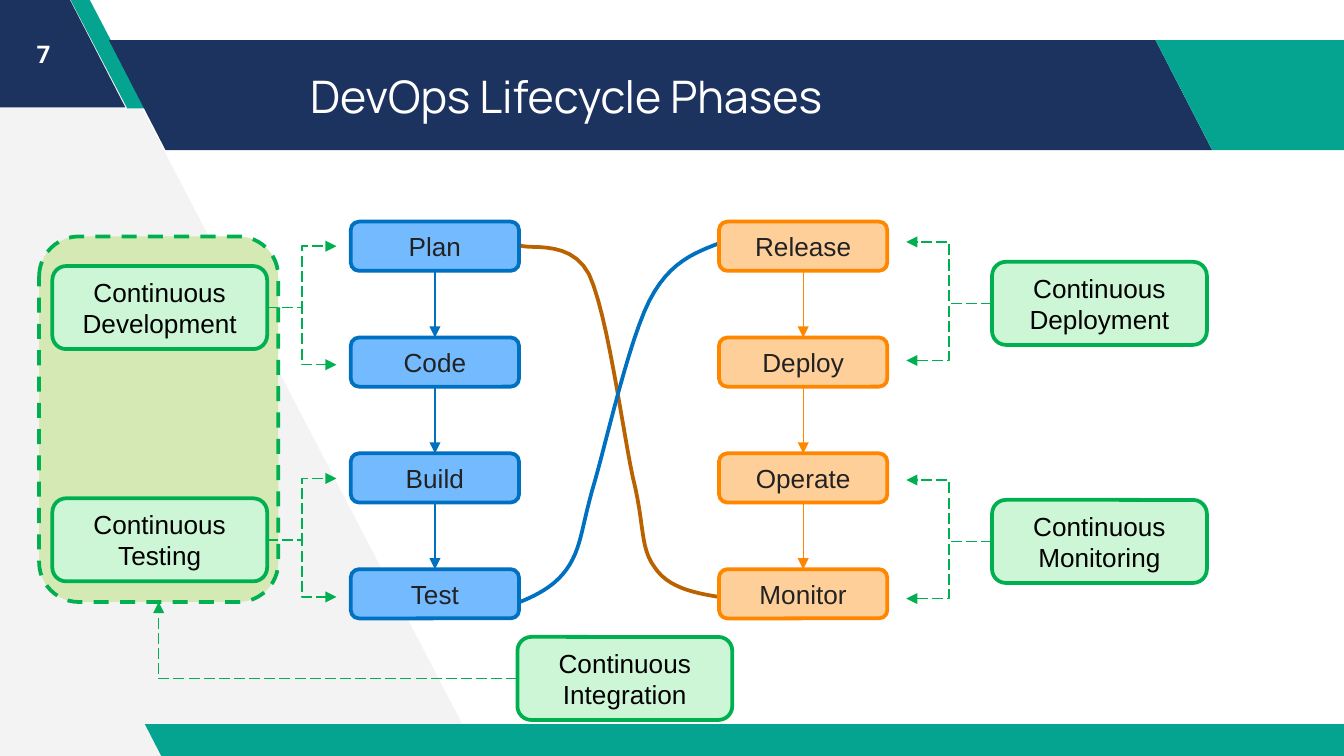
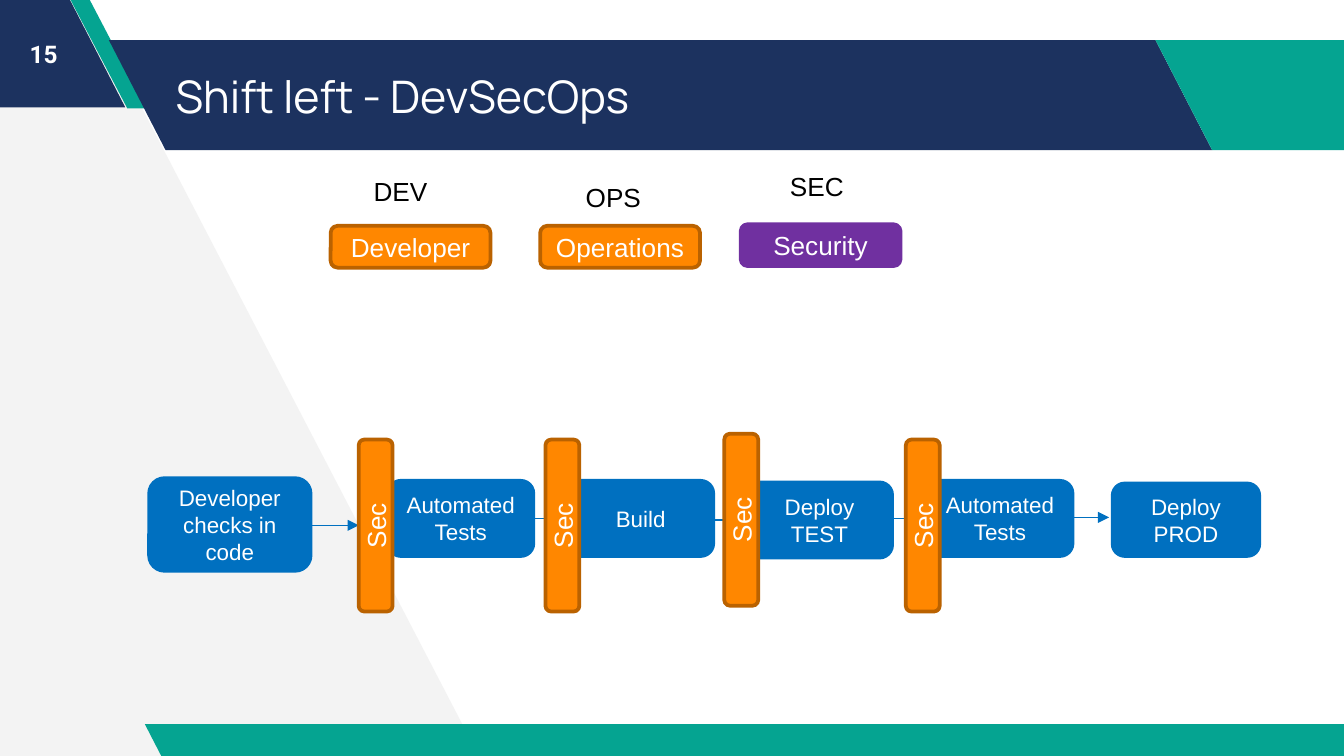
"""Build two DevOps slides: the lifecycle phases and the shift-left pipeline."""
import pptx
import pptx.util
import pptx.dml.color
import pptx.enum.dml
import pptx.enum.shapes
import pptx.enum.text
import pptx.oxml
import pptx.oxml.ns
from pptx.util import Cm

SHAPE = pptx.enum.shapes.MSO_SHAPE
CONNECTOR = pptx.enum.shapes.MSO_CONNECTOR
DASH = pptx.enum.dml.MSO_LINE
ALIGN = pptx.enum.text.PP_ALIGN
ANCHOR = pptx.enum.text.MSO_ANCHOR

COLORS = {
    "navy": "1C325F", "teal": "05A491", "pale": "F3F3F3", "white": "FFFFFF",
    "black": "000000", "ink": "222222", "green": "00B050", "mint": "CCF6D5",
    "lime": "D5E9B4", "blue": "0070C0", "sky": "74BAFE", "orange": "FF8700",
    "peach": "FECF99", "brown": "BA6200", "purple": "7030A0",
}

WEDGE = [(9.04, 14.27), (1.57, -0.1), (-0.15, -0.1), (-0.05, 14.38)]
BANDS = [
    ("navy", 0.515, (-2.51, -0.05, 4.88, 2.08)),
    ("teal", 0.75, (1.32, -0.03, 1.45, 2.08)),
    ("navy", 0.515, (2.06, 0.76, 20.85, 2.08)),
    ("teal", 0.515, (21.84, 0.76, 4.88, 2.08)),
    ("teal", 0.515, (2.74, 13.69, 23.24, 0.64)),
]

PHASE_COLUMNS = [
    (6.63, "sky", "blue", ["Plan", "Code", "Build", "Test"]),
    (13.59, "peach", "orange", ["Release", "Deploy", "Operate", "Monitor"]),
]
PHASE_TOP, PHASE_STEP, PHASE_W, PHASE_H = 4.19, 2.19, 3.18, 0.93
PRACTICES = [
    ("Continuous Development", 0.99, 5.03, "right"),
    ("Continuous Testing", 0.99, 9.42, "right"),
    ("Continuous Deployment", 18.75, 4.95, "left"),
    ("Continuous Monitoring", 18.75, 9.45, "left"),
    ("Continuous Integration", 9.78, 12.04, None),
]
PRACTICE_W, PRACTICE_H = 4.06, 1.57
FORK_REACH = {"right": 1.31, "left": -1.62}
FORK_RISES = (-1.16, 1.08)
PANEL = (0.74, 4.47, 4.52, 6.91)
CURVES = [
    ("brown", [(13.56, 11.28), (13.08, 11.2), (12.62, 11.1), (12.37, 10.72),
               (12.09, 10.34), (12.19, 9.93), (11.96, 9.02),
               (11.76, 8.08), (11.48, 5.92), (11.13, 5.18),
               (10.74, 4.45), (9.86, 4.78), (9.78, 4.6)]),
    ("blue", [(9.83, 11.38), (10.19, 11.23), (10.54, 11.05), (10.77, 10.67),
              (11, 10.29), (11, 9.91), (11.25, 9.07),
              (11.48, 8.26), (11.89, 6.45), (12.27, 5.69),
              (12.65, 4.95), (13.13, 4.78), (13.59, 4.6)]),
]

TEAMS = [
    ("DEV", (6.81, 3.18), "Developer", (6.25, 4.27), "orange", "brown"),
    ("OPS", (10.82, 3.3), "Operations", (10.21, 4.27), "orange", "brown"),
    ("SEC", (14.68, 3.1), "Security", (14, 4.24), "purple", "purple"),
]
STAGES = [
    ("Developer checks in code", (2.82, 9.04, 3.05, 1.75)),
    ("Automated Tests", (7.34, 9.09, 2.74, 1.42)),
    ("Build", (10.74, 9.09, 2.74, 1.42)),
    ("Deploy\nTEST", (14.12, 9.12, 2.74, 1.42)),
    ("Automated Tests", (17.53, 9.09, 2.74, 1.42)),
    ("Deploy\nPROD", (21.03, 9.14, 2.77, 1.37)),
]
STAGE_ARROWS = [(5.87, 6.78, 9.93), (10.08, 10.72, 9.8), (13.49, 14.15, 9.83),
                (16.87, 17.5, 9.8), (20.29, 20.96, 9.78)]
GATES = [(6.78, 8.31), (10.31, 8.31), (13.69, 8.2), (17.12, 8.31)]
GATE_W, GATE_H = 0.64, 3.25
SEC_W, SEC_H = 3.18, 0.58


def rgb(name):
    return pptx.dml.color.RGBColor.from_string(COLORS[name])


def write(sp, text, size=14, font="Arial", color="black", bold=False,
          align=ALIGN.CENTER, anchor=ANCHOR.MIDDLE, pad=0.13, indent=0):
    tf = sp.text_frame
    tf.word_wrap = True
    tf.auto_size = pptx.enum.text.MSO_AUTO_SIZE.NONE
    tf.vertical_anchor = anchor
    tf.margin_left = tf.margin_right = Cm(0.25)
    tf.margin_top = tf.margin_bottom = Cm(pad)
    tf.text = text
    for p in tf.paragraphs:
        p.alignment = align
        if indent:
            p._p.get_or_add_pPr().set("marL", str(Cm(indent)))
        for r in p.runs:
            r.font.size = pptx.util.Pt(size)
            r.font.name = font
            r.font.bold = bold
            r.font.color.rgb = rgb(color)


def paint(sp, fill=None, line=None, width=2, dash=None):
    sp.shadow.inherit = False
    if fill:
        sp.fill.solid()
        sp.fill.fore_color.rgb = rgb(fill)
    else:
        sp.fill.background()
    if line:
        sp.line.color.rgb = rgb(line)
        sp.line.width = pptx.util.Pt(width)
        if dash:
            sp.line.dash_style = dash
    else:
        sp.line.fill.background()


def box(s, at, fill, line, text=None, dash=None, **fmt):
    sp = s.shapes.add_shape(SHAPE.ROUNDED_RECTANGLE, *map(Cm, at))
    paint(sp, fill, line, dash=dash)
    if text:
        write(sp, text, **fmt)


def label(s, at, text, rotation=0, **fmt):
    sp = s.shapes.add_textbox(*map(Cm, at))
    sp.rotation = rotation
    write(sp, text, **fmt)


def outline(s, points, close=False):
    start, *rest = [(Cm(x), Cm(y)) for x, y in points]
    builder = s.shapes.build_freeform(*start)
    builder.add_line_segments(rest, close=close)
    return builder.convert_to_shape()


def bezier_points(knots, steps=12):
    points = [knots[0]]
    for i in range(0, len(knots) - 1, 3):
        a, b, c, d = knots[i:i + 4]
        for t in (k / steps for k in range(1, steps + 1)):
            u = 1 - t
            points.append(tuple(u**3 * a[j] + 3 * u * u * t * b[j]
                                + 3 * u * t * t * c[j] + t**3 * d[j] for j in (0, 1)))
    return points


def arrow(s, start, end, color, kind=CONNECTOR.STRAIGHT, dash=None, preset=None):
    cx = s.shapes.add_connector(kind, *map(Cm, start + end))
    cx.line.color.rgb = rgb(color)
    cx.line.width = pptx.util.Pt(0.75)
    if dash:
        cx.line.dash_style = dash
    sp_pr = cx.element.spPr
    if preset:
        sp_pr.find(pptx.oxml.ns.qn("a:prstGeom")).set("prst", preset)
    ns = pptx.oxml.ns.nsdecls("a")
    tail = pptx.oxml.parse_xml(f'<a:tailEnd {ns} type="triangle"/>')
    sp_pr.find(pptx.oxml.ns.qn("a:ln")).append(tail)
    sp_pr.append(pptx.oxml.parse_xml(f"<a:effectLst {ns}/>"))


def decorate_layout(layout, s):
    """Draw the wedge and bands once and move them to the shared layout."""
    wedge = outline(s, WEDGE, close=True)
    paint(wedge, "pale")
    parts = [wedge]
    for color, slant, at in BANDS:
        sp = s.shapes.add_shape(SHAPE.PARALLELOGRAM, *map(Cm, at))
        sp.adjustments[0] = slant
        sp.element.spPr.find(pptx.oxml.ns.qn("a:xfrm")).set("flipH", "1")
        paint(sp, color)
        parts.append(sp)
    for i, sp in enumerate(parts):
        sp.element.nvSpPr.cNvPr.set("id", str(20 + i))
        layout.shapes.element.append(sp.element)


def add_slide(prs, title, number, indent=0):
    s = prs.slides.add_slide(prs.slide_layouts[5])
    sp = s.shapes.title
    sp.left, sp.top, sp.width, sp.height = map(Cm, (3.07, 0.76, 18.67, 2.08))
    write(sp, title, size=24, font="Manrope", color="white",
          align=ALIGN.LEFT, pad=0.25, indent=indent)
    label(s, (0, 0, 1.65, 2.03), number, size=13, font="Roboto",
          color="white", bold=True, pad=0.25)
    return s


def lifecycle(s):
    box(s, PANEL, "lime", "green", dash=DASH.DASH)
    for color, knots in CURVES:
        paint(outline(s, bezier_points(knots)), line=color)
    for left, fill, line, names in PHASE_COLUMNS:
        mid = left + PHASE_W / 2
        for i, name in enumerate(names):
            top = PHASE_TOP + i * PHASE_STEP
            box(s, (left, top, PHASE_W, PHASE_H), fill, line, name, color="ink")
            if i:
                arrow(s, (mid, top - PHASE_STEP + PHASE_H), (mid, top), line)
    for name, left, top, side in PRACTICES:
        box(s, (left, top, PRACTICE_W, PRACTICE_H), "mint", "green", name)
        y = top + PRACTICE_H / 2
        if side:
            x = left + PRACTICE_W if side == "right" else left
            for rise in FORK_RISES:
                arrow(s, (x, y), (x + FORK_REACH[side], y + rise), "green",
                      CONNECTOR.ELBOW, DASH.LONG_DASH)
        else:
            arrow(s, (left, y), (PANEL[0] + PANEL[2] / 2, PANEL[1] + PANEL[3]),
                  "green", CONNECTOR.ELBOW, DASH.LONG_DASH, "bentConnector2")


def shift_left(s):
    for short, spot, name, corner, fill, line in TEAMS:
        box(s, corner + (3.02, 0.79), fill, line, name, color="white")
        label(s, spot + (1.65, 0.86), short, align=ALIGN.LEFT, anchor=ANCHOR.TOP)
    for name, at in STAGES:
        box(s, at, "blue", "blue", name, size=12, color="white")
    for x1, x2, y in STAGE_ARROWS:
        arrow(s, (x1, y), (x2, y), "blue")
    for left, top in GATES:
        box(s, (left, top, GATE_W, GATE_H), "orange", "brown")
        label(s, (left + (GATE_W - SEC_W) / 2, top + (GATE_H - SEC_H) / 2, SEC_W, SEC_H),
              "Sec", rotation=270, color="white")


def main():
    prs = pptx.Presentation()
    prs.slide_width, prs.slide_height = Cm(25.4), Cm(14.29)
    s = add_slide(prs, "DevOps Lifecycle Phases", "7", indent=2.54)
    decorate_layout(prs.slide_layouts[5], s)
    lifecycle(s)
    shift_left(add_slide(prs, "Shift left - DevSecOps", "15"))
    prs.save("out.pptx")


if __name__ == "__main__":
    main()
